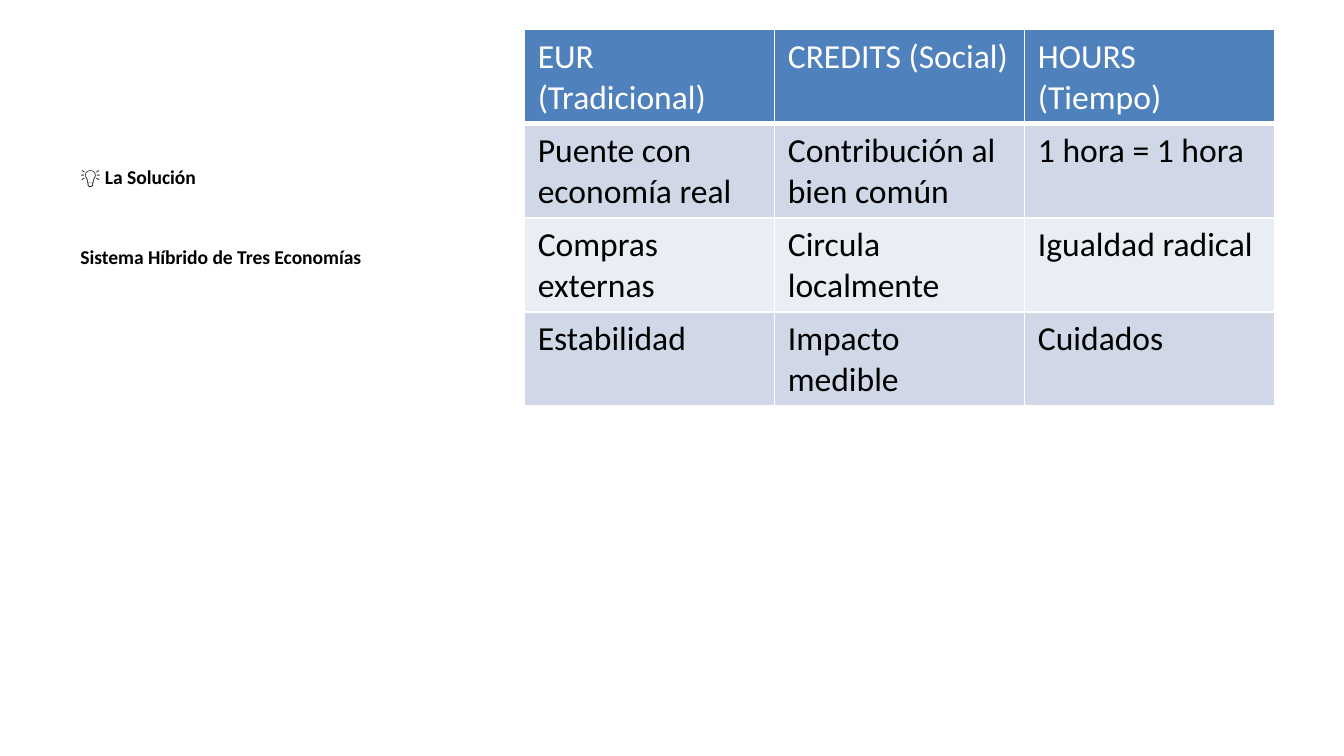
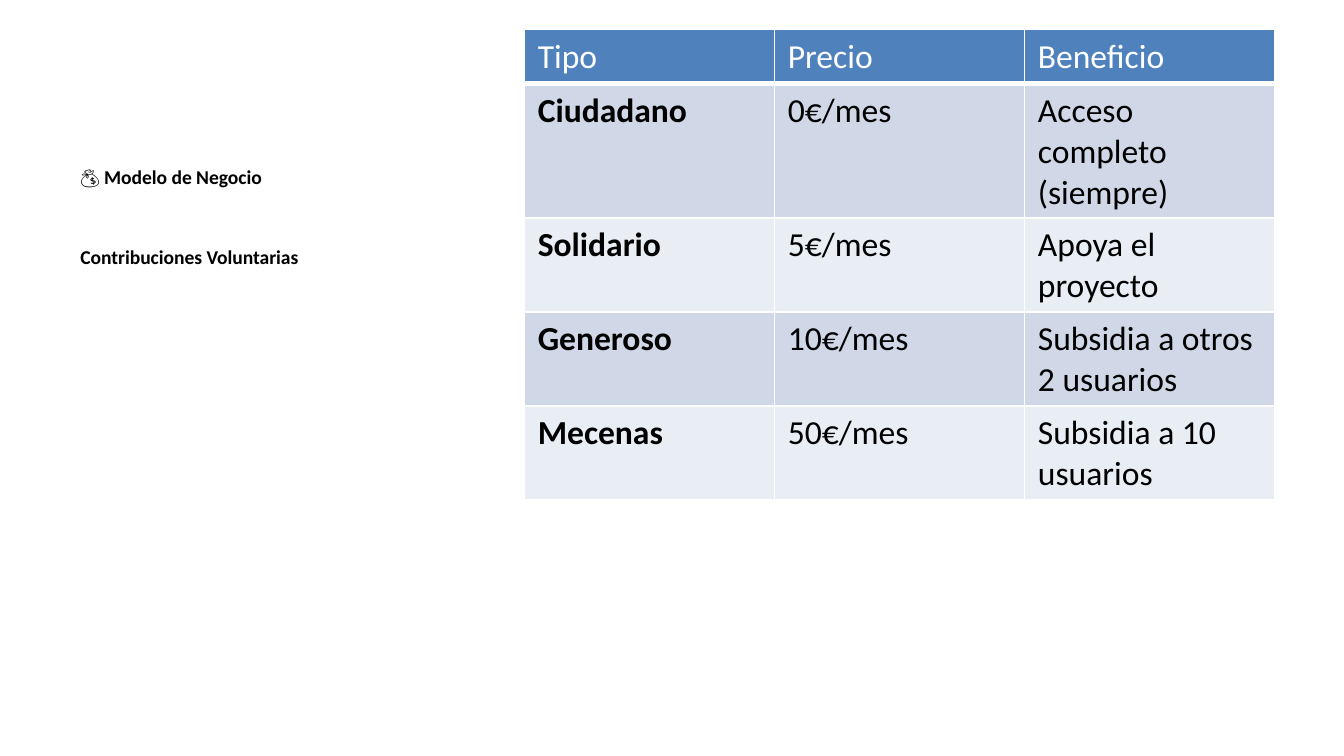
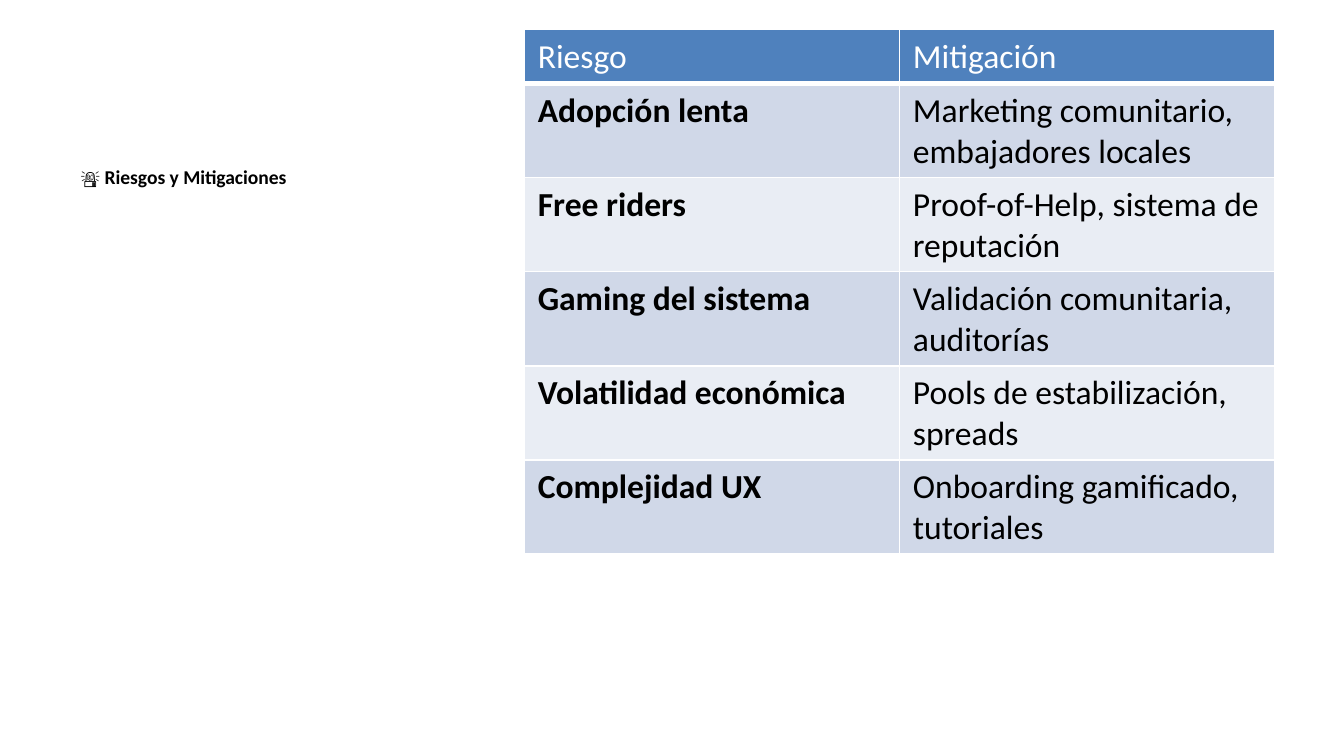
from lxml.etree import SubElement
from pptx import Presentation
from pptx.dml.color import RGBColor
from pptx.oxml.ns import qn
from pptx.util import Cm, Pt

FONT = "Calibri"
BLACK, WHITE = "000000", "FFFFFF"
HEADER_FILL = "4F81BD"
BAND_FILLS = ("E9EDF4", "D0D8E8")
HEADING_BOX = (Cm(1.27), Cm(3), Cm(8.36), Cm(9.78))
TABLE_BOX = (Cm(9.91), Cm(0.56), Cm(14.18), Cm(12.17))


def color(hex_code):
    return RGBColor.from_string(hex_code)


def add_run(paragraph, text, size, hex_code, bold=False):
    run = paragraph.add_run()
    run.text = text
    run.font.name = FONT
    run.font.size = Pt(size)
    run.font.bold = bold
    run.font.color.rgb = color(hex_code)


def add_headings(slide, headings):
    frame = slide.shapes.add_textbox(*HEADING_BOX).text_frame
    frame.word_wrap = True
    for index, heading in enumerate(headings):
        paragraph = frame.add_paragraph() if index else frame.paragraphs[0]
        paragraph.space_before = Pt(30)
        add_run(paragraph, heading, 10.5, BLACK, bold=True)


def set_borders(cell, bottom_width):
    properties = cell._tc.get_or_add_tcPr()
    widths = {"a:lnL": 1, "a:lnR": 1, "a:lnT": 1, "a:lnB": bottom_width}
    for position, (tag, width) in enumerate(widths.items()):
        line = SubElement(properties, qn(tag), w=str(Pt(width)))
        fill = SubElement(line, qn("a:solidFill"))
        SubElement(fill, qn("a:srgbClr"), val=WHITE)
        properties.insert(position, line)


def fill_cell(cell, text, is_header, fill_hex, bold):
    cell.fill.solid()
    cell.fill.fore_color.rgb = color(fill_hex)
    set_borders(cell, 3 if is_header else 1)
    add_run(cell.text_frame.paragraphs[0], text, 18, WHITE if is_header else BLACK, bold)


def add_banded_table(slide, rows, bold_labels):
    column_count = len(rows[0])
    shape = slide.shapes.add_table(len(rows), column_count, *TABLE_BOX)
    table = shape.table
    for column in table.columns:
        column.width = TABLE_BOX[2] // column_count
    for row_index, texts in enumerate(rows):
        is_header = row_index == 0
        fill_hex = HEADER_FILL if is_header else BAND_FILLS[row_index % 2]
        table.rows[row_index].height = Cm(0)
        for column_index, text in enumerate(texts):
            bold = bold_labels and not is_header and column_index == 0
            fill_cell(table.cell(row_index, column_index), text, is_header, fill_hex, bold)
    shape.height = TABLE_BOX[3]


def add_table_slide(presentation, headings, rows, bold_labels=True):
    slide = presentation.slides.add_slide(presentation.slide_layouts[6])
    add_headings(slide, headings)
    add_banded_table(slide, rows, bold_labels)


def main():
    presentation = Presentation()
    presentation.slide_width = Cm(25.4)
    presentation.slide_height = Cm(14.29)

    add_table_slide(
        presentation,
        ["💡 La Solución", "Sistema Híbrido de Tres Economías"],
        [
            ("EUR (Tradicional)", "CREDITS (Social)", "HOURS (Tiempo)"),
            ("Puente con economía real", "Contribución al bien común", "1 hora = 1 hora"),
            ("Compras externas", "Circula localmente", "Igualdad radical"),
            ("Estabilidad", "Impacto medible", "Cuidados"),
        ],
        bold_labels=False,
    )
    add_table_slide(
        presentation,
        ["💰 Modelo de Negocio", "Contribuciones Voluntarias"],
        [
            ("Tipo", "Precio", "Beneficio"),
            ("Ciudadano", "0€/mes", "Acceso completo (siempre)"),
            ("Solidario", "5€/mes", "Apoya el proyecto"),
            ("Generoso", "10€/mes", "Subsidia a otros 2 usuarios"),
            ("Mecenas", "50€/mes", "Subsidia a 10 usuarios"),
        ],
    )
    add_table_slide(
        presentation,
        ["🚨 Riesgos y Mitigaciones"],
        [
            ("Riesgo", "Mitigación"),
            ("Adopción lenta", "Marketing comunitario, embajadores locales"),
            ("Free riders", "Proof-of-Help, sistema de reputación"),
            ("Gaming del sistema", "Validación comunitaria, auditorías"),
            ("Volatilidad económica", "Pools de estabilización, spreads"),
            ("Complejidad UX", "Onboarding gamificado, tutoriales"),
        ],
    )
    presentation.save("out.pptx")


if __name__ == "__main__":
    main()
